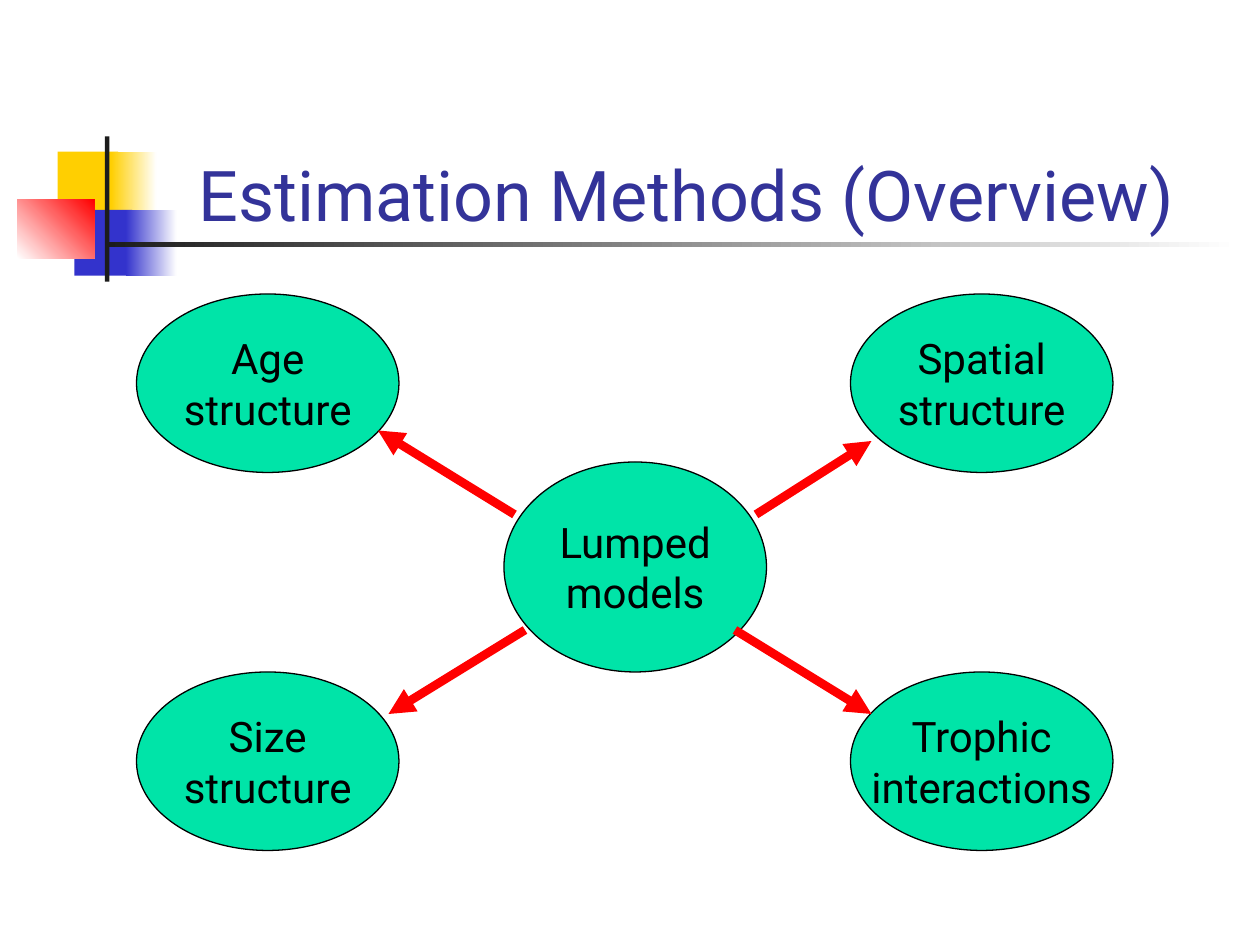
import itertools

import pptx
import pptx.dml.color
import pptx.enum.shapes
import pptx.enum.text
import pptx.oxml
import pptx.oxml.ns
import pptx.util

Pt = pptx.util.Pt
SHAPES = pptx.enum.shapes.MSO_SHAPE
ANCHOR = pptx.enum.text.MSO_ANCHOR
ALIGN = pptx.enum.text.PP_ALIGN
FONT = "Roboto"
COLOURS = {
    "yellow": "FFCF01", "blue": "3333CC", "red": "FF0000", "ink": "1C1C1C",
    "white": "FFFFFF", "title": "333399", "bubble": "00E4A8", "black": "000000",
}


def colour(name):
    return pptx.dml.color.RGBColor.from_string(COLOURS[name])


def add_run(para, text, size, colour_name):
    span = para.add_run()
    span.text = text
    span.font.name = FONT
    span.font.size = Pt(size)
    span.font.color.rgb = colour(colour_name)


def add_block(page, left, top, width, height, start, end=None, angle=0):
    """Borderless rectangle, plain or fading from start to end."""
    block = page.shapes.add_shape(
        SHAPES.RECTANGLE, Pt(left), Pt(top), Pt(width), Pt(height))
    block.shadow.inherit = False
    block.line.fill.background()
    if end is None:
        block.fill.solid()
        block.fill.fore_color.rgb = colour(start)
        return
    block.fill.gradient()
    block.fill.gradient_angle = angle
    for stop, name, position in zip(block.fill.gradient_stops, (start, end), (0, 1)):
        stop.color.rgb = colour(name)
        stop.position = position


def add_ornament(page, left, top):
    """Overlapping squares with the cross of rules."""
    # Yellow and blue squares, each with a fading right half
    add_block(page, left + 23, top + 8.6, 34.5, 37.5, "yellow")
    add_block(page, left + 53.5, top + 8.6, 26, 37.5, "yellow", "white")
    add_block(page, left + 32.5, top + 42, 33, 37.5, "blue")
    add_block(page, left + 62, top + 42, 29, 37.5, "blue", "white")
    # Red square fading to the lower left
    add_block(page, left, top + 36, 44, 33.5, "white", "red", 45)
    # Vertical and horizontal rules
    add_block(page, left + 50, top, 2.5, 83, "ink")
    add_block(page, left + 50, top + 60.2, 648, 3, "ink", "white")


def add_title(page, left, top, width, height, text):
    box = page.shapes.add_textbox(Pt(left), Pt(top), Pt(width), Pt(height))
    box.text_frame.word_wrap = True
    box.text_frame.vertical_anchor = ANCHOR.BOTTOM
    add_run(box.text_frame.paragraphs[0], text, 40, "title")


def add_bubble(page, left, top, width, height, lines):
    bubble = page.shapes.add_shape(
        SHAPES.OVAL, Pt(left), Pt(top), Pt(width), Pt(height))
    bubble.shadow.inherit = False
    bubble.fill.solid()
    bubble.fill.fore_color.rgb = colour("bubble")
    bubble.line.color.rgb = colour("black")
    bubble.line.width = Pt(0.75)
    frame = bubble.text_frame
    frame.word_wrap = False
    frame.vertical_anchor = ANCHOR.MIDDLE
    for index, line in enumerate(lines):
        para = frame.paragraphs[0] if index == 0 else frame.add_paragraph()
        para.alignment = ALIGN.CENTER
        add_run(para, line, 24, "black")


def add_arrow(page, start_x, start_y, end_x, end_y):
    arrow = page.shapes.add_connector(
        pptx.enum.shapes.MSO_CONNECTOR.STRAIGHT,
        Pt(start_x), Pt(start_y), Pt(end_x), Pt(end_y))
    arrow.line.color.rgb = colour("red")
    arrow.line.width = Pt(5)
    head = pptx.oxml.ns.qn("a:tailEnd")
    line_xml = arrow.line._get_or_add_ln()
    line_xml.append(line_xml.makeelement(head, {"type": "triangle"}))
    properties = arrow._element.spPr
    properties.append(properties.makeelement(pptx.oxml.ns.qn("a:effectLst"), {}))


def add_diagram(page, left, top):
    """Central bubble, four corner bubbles and the arrows between them."""
    add_bubble(page, left + 210, top + 96, 150, 120, ["Lumped", "models"])
    corners = itertools.product((0, 216), (0, 408))
    labels = (["Age", "structure"], ["Spatial", "structure"],
              ["Size", "structure"], ["Trophic", "interactions"])
    for (down, across), lines in zip(corners, labels):
        add_bubble(page, left + across, top + down, 150, 102, lines)
    arrows = ((216, 126, 138, 78), (354, 126, 420, 84),
              (222, 192, 144, 240), (342, 192, 420, 240))
    for start_x, start_y, end_x, end_y in arrows:
        add_arrow(page, left + start_x, top + start_y, left + end_x, top + end_y)


deck = pptx.Presentation()
deck.slide_width, deck.slide_height = Pt(720), Pt(540)
page = deck.slides.add_slide(deck.slide_layouts[6])
add_ornament(page, 10, 78)
add_title(page, 106.5, 48, 613.5, 90, "Estimation Methods (Overview)")
add_diagram(page, 78, 168)
deck.save("out.pptx")
